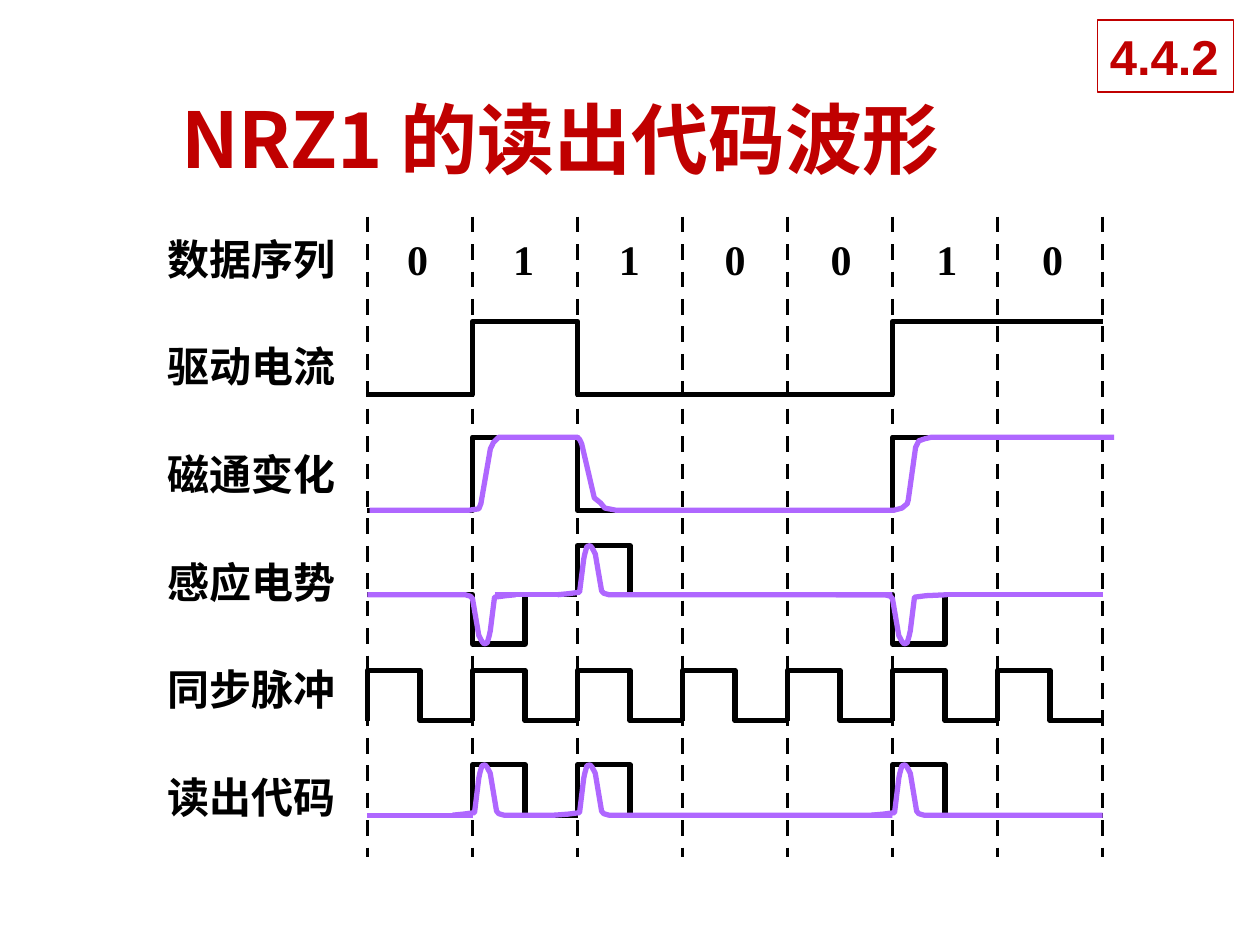
import pptx
import pptx.dml.color
import pptx.enum.dml
import pptx.enum.shapes
import pptx.enum.text
import pptx.oxml.ns
import pptx.util
from lxml import etree

Inches, Pt = pptx.util.Inches, pptx.util.Pt
RGBColor = pptx.dml.color.RGBColor
ANCHOR = pptx.enum.text.MSO_ANCHOR
ALIGN = pptx.enum.text.PP_ALIGN
qn = pptx.oxml.ns.qn

BLACK = RGBColor(0x00, 0x00, 0x00)
WHITE = RGBColor(0xFF, 0xFF, 0xFF)
RED = RGBColor(0xC0, 0x00, 0x00)
PURPLE = RGBColor(0xAF, 0x67, 0xFF)
SERIF, SANS, CJK = "Times New Roman", "Arial", "Noto Sans CJK SC"

# Time grid: one column for each bit
BITS = "0110010"
LEFT, COLUMN = 35 / 12, 5 / 6
END = len(BITS)
LABELS = ["数据序列", "驱动电流", "磁通变化", "感应电势", "同步脉冲", "读出代码"]

# Smoothed shapes as (columns after the clock edge, level)
BUMP = [(-0.09, 0.02), (0.02, 0.05), (0.06, 0.73), (0.07, 0.83), (0.09, 0.98),
        (0.12, 1), (0.14, 0.95), (0.17, 0.83), (0.23, 0.08), (0.25, 0.03), (0.3, 0)]
DIP = [(0.23 - x, -level) for x, level in reversed(BUMP)]
FIRST_RISE = [(-0.04, 0), (0.06, 0.02), (0.08, 0.09), (0.17, 0.84), (0.2, 0.93), (0.25, 1)]
FALL = [(0, 1), (0.02, 0.97), (0.04, 0.91), (0.16, 0.17), (0.22, 0.1), (0.26, 0.03), (0.37, 0)]
LAST_RISE = [(0.01, 0), (0.09, 0.03), (0.14, 0.09), (0.15, 0.14), (0.22, 0.86),
             (0.25, 0.95), (0.31, 0.98), (0.37, 1)]


def style_text(shape, text, size, font, color, align=ALIGN.LEFT, wrap=False):
    frame = shape.text_frame
    frame.word_wrap = wrap
    frame.vertical_anchor = ANCHOR.MIDDLE
    para = frame.paragraphs[0]
    para.text = text
    para.alignment = align
    para.font.size, para.font.bold, para.font.name = Pt(size), True, font
    para.font.color.rgb = color
    etree.SubElement(para.font._element, qn("a:ea")).set("typeface", CJK)


def add_text(page, box, text, size, font, color, **options):
    shape = page.shapes.add_textbox(*map(Inches, box))
    style_text(shape, text, size, font, color, **options)
    return shape


def add_line(page, start, end, color, width, dash=None):
    line = page.shapes.add_connector(pptx.enum.shapes.MSO_CONNECTOR.STRAIGHT,
                                     *map(Inches, start + end))
    line.line.color.rgb, line.line.width = color, Pt(width)
    if dash:
        line.line.dash_style = dash
    etree.SubElement(line._element.spPr, qn("a:effectLst"))


def trace(page, row, points, color=BLACK):
    """Draw (column, level) points; row is (height of level 0, size of one level)."""
    base, rise = row
    spots = [(LEFT + column * COLUMN, base - level * rise)
             for column, level in dict.fromkeys(points)]
    if len(spots) == 2:
        add_line(page, *spots, color, 3)
        return
    corners = [(Inches(x), Inches(y)) for x, y in spots]
    builder = page.shapes.build_freeform(*corners[0])
    builder.add_line_segments(corners[1:], close=False)
    wave = builder.convert_to_shape()
    wave.fill.background()
    wave.line.color.rgb, wave.line.width = color, Pt(3)
    wave.shadow.inherit = False


def square(lead, edge, end, level=1):
    return [(lead, 0), (edge, 0), (edge, level), (edge + 0.5, level), (edge + 0.5, 0), (end, 0)]


def shift(curve, edge):
    return [(edge + x, level) for x, level in curve]


def smooth(lead, edge, end, curve=BUMP):
    return [(lead, 0)] + shift(curve, edge) + [(end, 0)]


def flat(start, end):
    return [(start, 0), (end, 0)]


def add_grid(page, top, bottom):
    for column in range(END + 1):
        x = LEFT + column * COLUMN
        add_line(page, (x, top), (x, bottom), BLACK, 2.25, pptx.enum.dml.MSO_LINE.DASH)
    for index, bit in enumerate(BITS):
        shape = add_text(page, (3.13 + 0.84 * index, top + 0.08, 0.37, 0.5),
                         bit, 24, SERIF, BLACK, align=ALIGN.CENTER)
        shape.text_frame.margin_top = Inches(0.06)
    for index, label in enumerate(LABELS):
        add_text(page, (1.23, 1.8 + 0.855 * index, 1.55, 0.5), label, 24, SERIF, BLACK)


def add_waves(page):
    drive, flux = (3.13, 0.58), (4.05, 0.58)
    voltage, clock, readout = (4.72, 0.39), (5.72, 0.4), (6.47, 0.4)

    # Drive current and flux share the same ideal steps
    steps = [(0, 0), (1, 0), (1, 1), (2, 1), (2, 0), (5, 0), (5, 1), (END, 1)]
    trace(page, drive, steps)
    trace(page, flux, steps)
    trace(page, flux, [(0.02, 0)] + shift(FIRST_RISE, 1) + shift(FALL, 2)
          + shift(LAST_RISE, 5) + [(7.11, 1)], PURPLE)

    # Induced voltage
    for points in (square(0, 1, 1.5, -1), flat(1.5, 2), square(2, 2, 4.5),
                   square(4.5, 5, 5.5, -1), flat(5.5, END)):
        trace(page, voltage, points)
    for points in (smooth(0, 1, 1.41, DIP), flat(1.21, 1.81), smooth(1.81, 2, 5),
                   smooth(4.46, 5, 5.52, DIP), flat(5.51, END)):
        trace(page, voltage, points, PURPLE)

    # Clock pulses
    for column in range(END):
        trace(page, clock, square(column, column, column + 1))

    # Readout code
    for points in (flat(0, 1), square(1, 1, 2), square(2, 2, 5), square(5, 5, END)):
        trace(page, readout, points)
    for points in (flat(0, 1), smooth(1.78, 2, 5), smooth(0.81, 1, 1.79), smooth(4.8, 5, END)):
        trace(page, readout, points, PURPLE)


def add_heading(page, title_box, badge_box):
    add_text(page, title_box, "NRZ1 的读出代码波形", 44, CJK, RED, wrap=True)

    badge = page.shapes.add_shape(pptx.enum.shapes.MSO_SHAPE.RECTANGLE, *map(Inches, badge_box))
    badge.shadow.inherit = False
    badge.fill.solid()
    badge.fill.fore_color.rgb = WHITE
    badge.line.color.rgb, badge.line.width = RED, Pt(0.75)
    style_text(badge, "4.4.2", 28, SANS, RED, wrap=True)


def main():
    deck = pptx.Presentation()
    deck.slide_width, deck.slide_height = Inches(10), Inches(7.5)
    page = deck.slides.add_slide(deck.slide_layouts[6])
    add_grid(page, 1.72, 6.8)
    add_waves(page)
    add_heading(page, (1.34, 0.67, 7.73, 0.84), (8.71, 0.16, 1.08, 0.57))
    deck.save("out.pptx")


if __name__ == "__main__":
    main()
